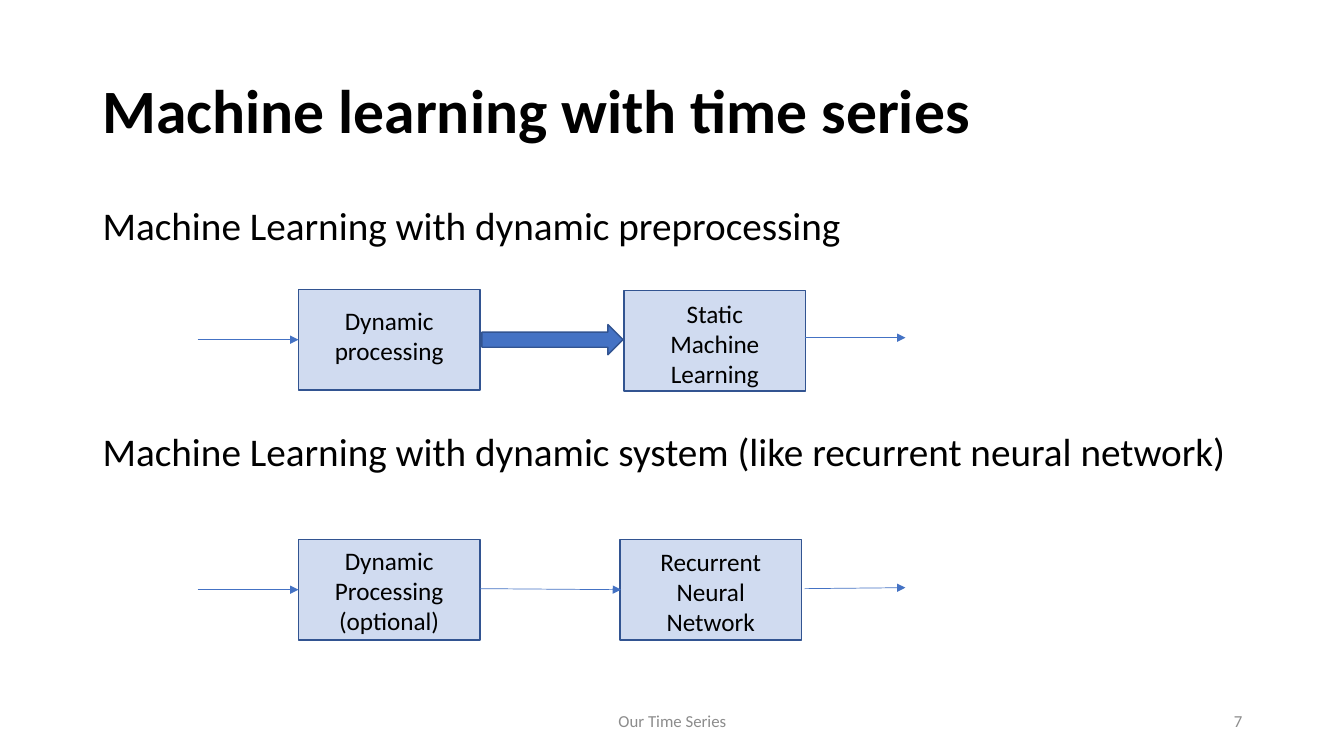
"""Builds a slide with two block diagrams of machine learning on time series."""
from lxml import etree
from pptx import Presentation
from pptx.dml.color import RGBColor
from pptx.enum.shapes import MSO_CONNECTOR, MSO_SHAPE
from pptx.enum.text import MSO_ANCHOR, PP_ALIGN
from pptx.oxml.ns import qn
from pptx.util import Inches, Pt

LEFT, CENTER, RIGHT = PP_ALIGN.LEFT, PP_ALIGN.CENTER, PP_ALIGN.RIGHT
TOP, MIDDLE = MSO_ANCHOR.TOP, MSO_ANCHOR.MIDDLE
RECTANGLE, RIGHT_ARROW = MSO_SHAPE.RECTANGLE, MSO_SHAPE.RIGHT_ARROW
STRAIGHT = MSO_CONNECTOR.STRAIGHT

COL = ROW = Inches(0.1)
BLOCK_COLS, BLOCK_ROWS = 18, 10
INPUT_COL, FIRST_COL, OUTPUT_COL = 19.6, 29.6, 79.8
SIDE_ARROW_COLS = 10

COLORS = {"ink": "000000", "muted": "8C8C8C", "flow": "4472C4", "edge": "325491"}
TITLE = {"size": Pt(44), "bold": True}
HEADING = {"size": Pt(28)}
LABEL = {"size": Pt(18)}
FOOTER = {"size": Pt(12)}


def grid(col, row, cols, rows):
    """Turn grid cells into slide lengths."""
    return [round(n * unit) for n, unit in zip((col, row, cols, rows), (COL, ROW) * 2)]


def write(frame, lines, font, color="ink", align=LEFT, anchor=TOP, spacing=1.0):
    """Fill a text frame with one paragraph per line."""
    frame.word_wrap = True
    frame.vertical_anchor = anchor
    for index, line in enumerate(lines):
        paragraph = frame.paragraphs[0] if index == 0 else frame.add_paragraph()
        paragraph.alignment = align
        paragraph.line_spacing = spacing
        run = paragraph.add_run()
        run.text = line
        for key, value in {"name": "Calibri", **font}.items():
            setattr(run.font, key, value)
        run.font.color.rgb = RGBColor.from_string(COLORS[color])


def add_text(slide, place, text, font, **style):
    """Add a text box holding a single line of text."""
    write(slide.shapes.add_textbox(*grid(*place)).text_frame, [text], font, **style)


def add_solid(slide, kind, place):
    """Add a preset shape in the flow colour with a dark edge."""
    solid = slide.shapes.add_shape(kind, *grid(*place))
    solid.shadow.inherit = False
    solid.fill.solid()
    solid.fill.fore_color.rgb = RGBColor.from_string(COLORS["flow"])
    solid.line.color.rgb = RGBColor.from_string(COLORS["edge"])
    solid.line.width = Pt(1)
    return solid


def add_block(slide, col, row, lines, text_drop):
    """Add a translucent block with its label set down by text_drop rows."""
    block = add_solid(slide, RECTANGLE, (col, row, BLOCK_COLS, BLOCK_ROWS))
    tint = block.fill._xPr.find(qn("a:solidFill"))[0]
    etree.SubElement(tint, qn("a:alpha"), val="25000")
    block.text_frame.margin_top = round(text_drop * ROW)
    block.text_frame.margin_bottom = 0
    write(block.text_frame, lines, LABEL, align=CENTER)


def add_flow(slide, col, row, cols, rise=0.0):
    """Add a thin arrow to the right, ending rise rows higher."""
    x, y, run, climb = grid(col, row, cols, rise)
    flow = slide.shapes.add_connector(STRAIGHT, x, y, x + run, y - climb)
    flow.line.color.rgb = RGBColor.from_string(COLORS["flow"])
    flow.line.width = Pt(0.5)
    etree.SubElement(flow.line._get_or_add_ln(), qn("a:tailEnd"), type="triangle")
    etree.SubElement(flow._element.spPr, qn("a:effectLst"))


def main():
    """Build the slide and save it."""
    deck = Presentation()
    deck.slide_width, deck.slide_height = Inches(13.33), Inches(7.5)
    slide = deck.slides.add_slide(deck.slide_layouts[6])

    add_text(slide, (9.2, 4, 115, 14.5), "Machine learning with time series",
             TITLE, anchor=MIDDLE, spacing=0.9)
    headings = (
        (20, "Machine Learning with dynamic preprocessing"),
        (42.4, "Machine Learning with dynamic system (like recurrent neural network)"),
    )
    for row, heading in headings:
        add_text(slide, (9.2, row, 115, 6), heading, HEADING, spacing=0.9)
    add_text(slide, (44.2, 69.5, 45, 4), "Our Time Series", FOOTER,
             color="muted", align=CENTER, anchor=MIDDLE)
    add_text(slide, (94.2, 69.5, 30, 4), "7", FOOTER,
             color="muted", align=RIGHT, anchor=MIDDLE)

    blocks = (
        (FIRST_COL, 28.7, ["Dynamic", "processing"], 1.6),
        (61.9, 28.8, ["Static", "Machine", "Learning"], 0.8),
        (FIRST_COL, 53.5, ["Dynamic", "Processing", "(optional)"], 0.6),
        (61.5, 53.5, ["Recurrent", "Neural", "Network"], 0.7),
    )
    for block in blocks:
        add_block(slide, *block)

    add_solid(slide, RIGHT_ARROW, (47.8, 32.2, 14, 3))
    add_flow(slide, FIRST_COL + BLOCK_COLS, 58.4, 14, rise=-0.1)
    for input_row, output_row, rise in ((33.7, 33.5, 0), (58.5, 58.4, 0.1)):
        add_flow(slide, INPUT_COL, input_row, SIDE_ARROW_COLS)
        add_flow(slide, OUTPUT_COL, output_row, SIDE_ARROW_COLS, rise)

    deck.save("out.pptx")


if __name__ == "__main__":
    main()
